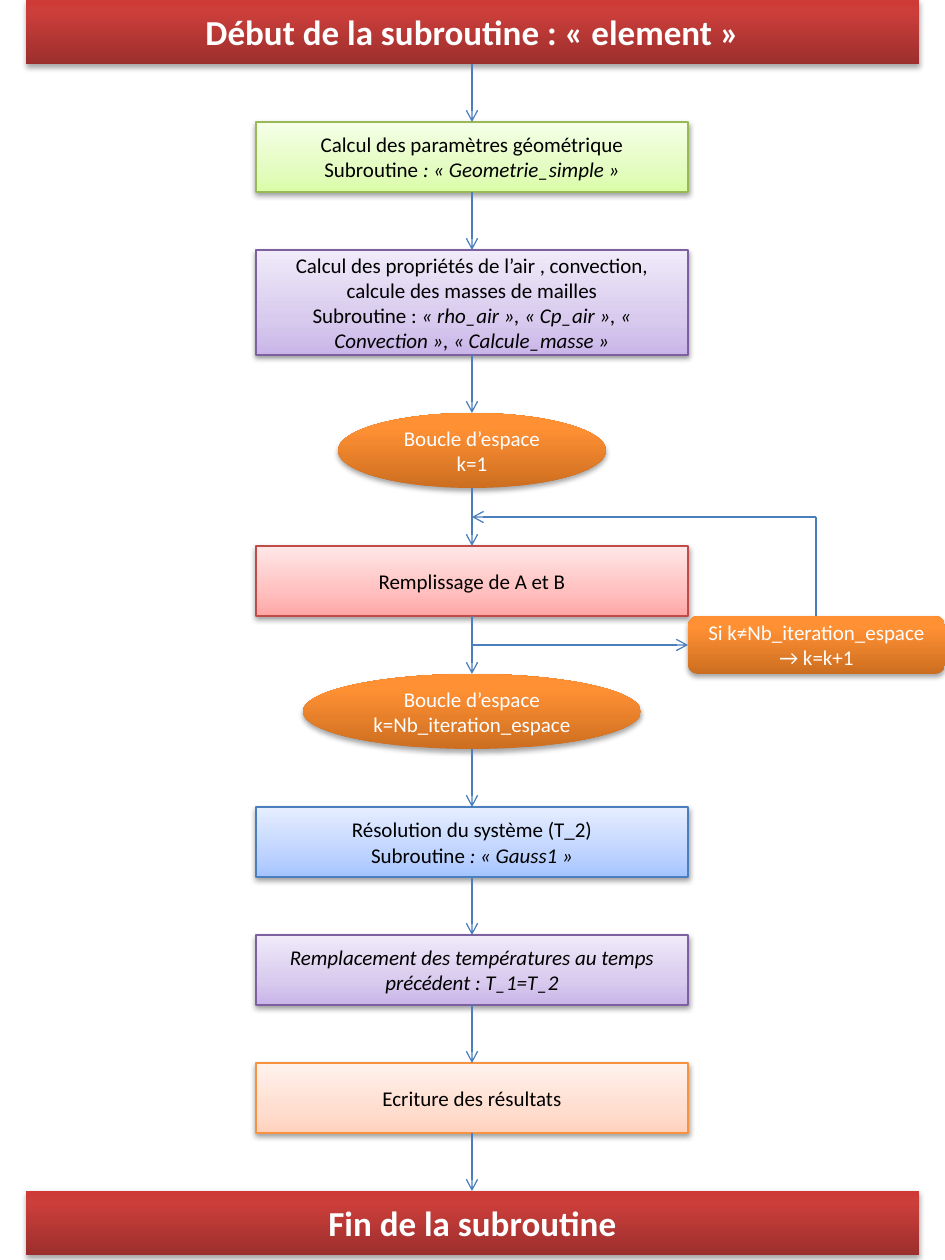
from dataclasses import dataclass

from lxml.etree import SubElement
from pptx import Presentation
from pptx.dml.color import RGBColor
from pptx.enum.shapes import MSO_CONNECTOR, MSO_SHAPE
from pptx.enum.text import MSO_ANCHOR, MSO_AUTO_SIZE, PP_ALIGN
from pptx.oxml.ns import qn
from pptx.util import Emu, Pt

PAGE_WIDTH, PAGE_HEIGHT = 945, 1260
GAP = 58
AXIS = PAGE_WIDTH // 2


@dataclass(frozen=True)
class Style:
    stops: tuple  # (position in %, colour), from bottom to top
    line: str = ""
    text: str = "000000"
    size: int = 12
    bold: bool = False
    shadow: tuple = (38, 1.6)  # opacity in %, distance in points


def light(bottom, middle, top, line):
    return Style(((0, bottom), (35, middle), (100, top)), line)


def strong(bottom, middle, top, size=12, bold=False):
    return Style(((0, bottom), (80, middle), (100, top)), "", "FFFFFF", size, bold, (35, 1.8))


class Theme:
    font = "Calibri"
    arrow = "4B7EBC"
    line_width = 0.75
    shadow_blur = 3.1
    banner = strong("9C2F2D", "CB3E3A", "CE3B37", 20, True)
    loop = strong("CC6E20", "FF9034", "FF9136")
    green = light("DAFDA7", "E4FCC2", "F5FFE7", "98B955")
    purple = light("C9B5E8", "D8CBEE", "F0EAF9", "7D60A0")
    red = light("FFA6A5", "FFC0BF", "FFE7E7", "BF4C48")
    blue = light("A4C4FF", "BFD4FF", "E6EEFF", "4B7EBC")
    orange = light("FFD2BD", "FFDED0", "FFF2ED", "F69240")


# Each paragraph is a pair: upright text, then italic text
STEPS = [
    ("title", 893, 64, Theme.banner, [("Début de la subroutine : « element »", "")]),
    (MSO_SHAPE.RECTANGLE, 432, 70, Theme.green, [
        ("Calcul des paramètres géométrique", ""),
        ("Subroutine ", ": « Geometrie_simple »")]),
    (MSO_SHAPE.RECTANGLE, 432, 105, Theme.purple, [
        ("Calcul des propriétés de l’air , convection, calcule des masses de mailles", ""),
        ("Subroutine : ", "« rho_air », « Cp_air », « Convection », « Calcule_masse »")]),
    (MSO_SHAPE.OVAL, 268, 75, Theme.loop, [("Boucle d’espace", ""), ("k=1", "")]),
    (MSO_SHAPE.RECTANGLE, 432, 70, Theme.red, [("Remplissage de A et B", "")]),
    (MSO_SHAPE.OVAL, 338, 75, Theme.loop, [
        ("Boucle d’espace", ""), ("k=Nb_iteration_espace", "")]),
    (MSO_SHAPE.RECTANGLE, 432, 70, Theme.blue, [
        ("Résolution du système (T_2)", ""), ("Subroutine ", ": « Gauss1 »")]),
    (MSO_SHAPE.RECTANGLE, 432, 70, Theme.purple, [
        ("", "Remplacement des températures au temps précédent : T_1=T_2")]),
    (MSO_SHAPE.RECTANGLE, 432, 70, Theme.orange, [("Ecriture des résultats", "")]),
    (MSO_SHAPE.RECTANGLE, 893, 64, Theme.banner, [("Fin de la subroutine", "")]),
]
LOOP_BODY = 4  # index of the step repeated by the loop
NEXT_ITERATION = [("Si k≠Nb_iteration_espace", ""), ("→ k=k+1", "")]


def px(length):
    return Emu(round(length * 914400 / 126))


def add_colour(parent, colour):
    return SubElement(parent, qn("a:srgbClr"), val=colour)


def paint(shape, style):
    # Vertical gradient
    shape.fill.gradient()
    shape.fill.gradient_angle = 90
    stop_list = shape._element.spPr.find(qn("a:gradFill")).find(qn("a:gsLst"))
    for stop in list(stop_list):
        stop_list.remove(stop)
    for position, colour in style.stops:
        add_colour(SubElement(stop_list, qn("a:gs"), pos=str(position * 1000)), colour)

    # Outline
    if style.line:
        shape.line.color.rgb = RGBColor.from_string(style.line)
        shape.line.width = Pt(Theme.line_width)
    else:
        shape.line.fill.background()

    # Shadow falling straight down
    opacity, distance = style.shadow
    shape.shadow.inherit = False
    effects = shape._element.spPr.find(qn("a:effectLst"))
    shadow = SubElement(effects, qn("a:outerShdw"), blurRad=str(Pt(Theme.shadow_blur)),
                        dist=str(Pt(distance)), dir="5400000", rotWithShape="0")
    SubElement(add_colour(shadow, "000000"), qn("a:alpha"), val=str(opacity * 1000))


def write(shape, paragraphs, style):
    frame = shape.text_frame
    frame.word_wrap = True
    frame.auto_size = MSO_AUTO_SIZE.NONE
    frame.vertical_anchor = MSO_ANCHOR.MIDDLE
    for index, parts in enumerate(paragraphs):
        para = frame.paragraphs[0] if index == 0 else frame.add_paragraph()
        para.alignment = PP_ALIGN.CENTER
        for text, italic in zip(parts, (False, True)):
            if not text:
                continue
            span = para.add_run()
            span.text = text
            span.font.name = Theme.font
            span.font.size = Pt(style.size)
            span.font.bold = style.bold
            span.font.italic = italic
            span.font.color.rgb = RGBColor.from_string(style.text)


def add_box(page, kind, box, style, paragraphs):
    left, top, width, height = map(px, box)
    if kind == "title":
        shape = page.shapes.title
        shape.left, shape.top, shape.width, shape.height = left, top, width, height
    else:
        shape = page.shapes.add_shape(kind, left, top, width, height)
    paint(shape, style)
    write(shape, paragraphs, style)


def add_line(page, start, end, arrow=True):
    line = page.shapes.add_connector(MSO_CONNECTOR.STRAIGHT, *map(px, start + end))
    line.line.color.rgb = RGBColor.from_string(Theme.arrow)
    line.line.width = Pt(Theme.line_width)
    if arrow:
        SubElement(line.line._get_or_add_ln(), qn("a:tailEnd"), type="arrow")
    SubElement(line._element.spPr, qn("a:effectLst"))


def add_main_flow(page, top):
    """Stack the steps on the axis and return their boxes."""
    boxes = []
    for kind, width, height, style, paragraphs in STEPS:
        box = ((PAGE_WIDTH - width) // 2, top, width, height)
        add_box(page, kind, box, style, paragraphs)
        if boxes:
            add_line(page, (AXIS, top - GAP), (AXIS, top))
        boxes.append(box)
        top += height + GAP
    return boxes


def add_loop_back(page, body):
    """Place the iteration test beside the gap below the loop body."""
    left, top, width, height = body
    test_left, test_top = left + width, top + height
    test_width = PAGE_WIDTH - test_left
    add_box(page, MSO_SHAPE.ROUNDED_RECTANGLE, (test_left, test_top, test_width, GAP),
            Theme.loop, NEXT_ITERATION)

    # Way out to the test, then up and back above the body
    exit_y, return_y = test_top + GAP // 2, top - GAP // 2
    return_x = test_left + test_width // 2
    add_line(page, (AXIS, exit_y), (test_left, exit_y))
    add_line(page, (return_x, test_top), (return_x, return_y), arrow=False)
    add_line(page, (return_x, return_y), (AXIS, return_y))


def main():
    deck = Presentation()
    deck.slide_width, deck.slide_height = px(PAGE_WIDTH), px(PAGE_HEIGHT)
    page = deck.slides.add_slide(deck.slide_layouts[5])
    boxes = add_main_flow(page, 0)
    add_loop_back(page, boxes[LOOP_BODY])
    deck.save("out.pptx")


if __name__ == "__main__":
    main()
